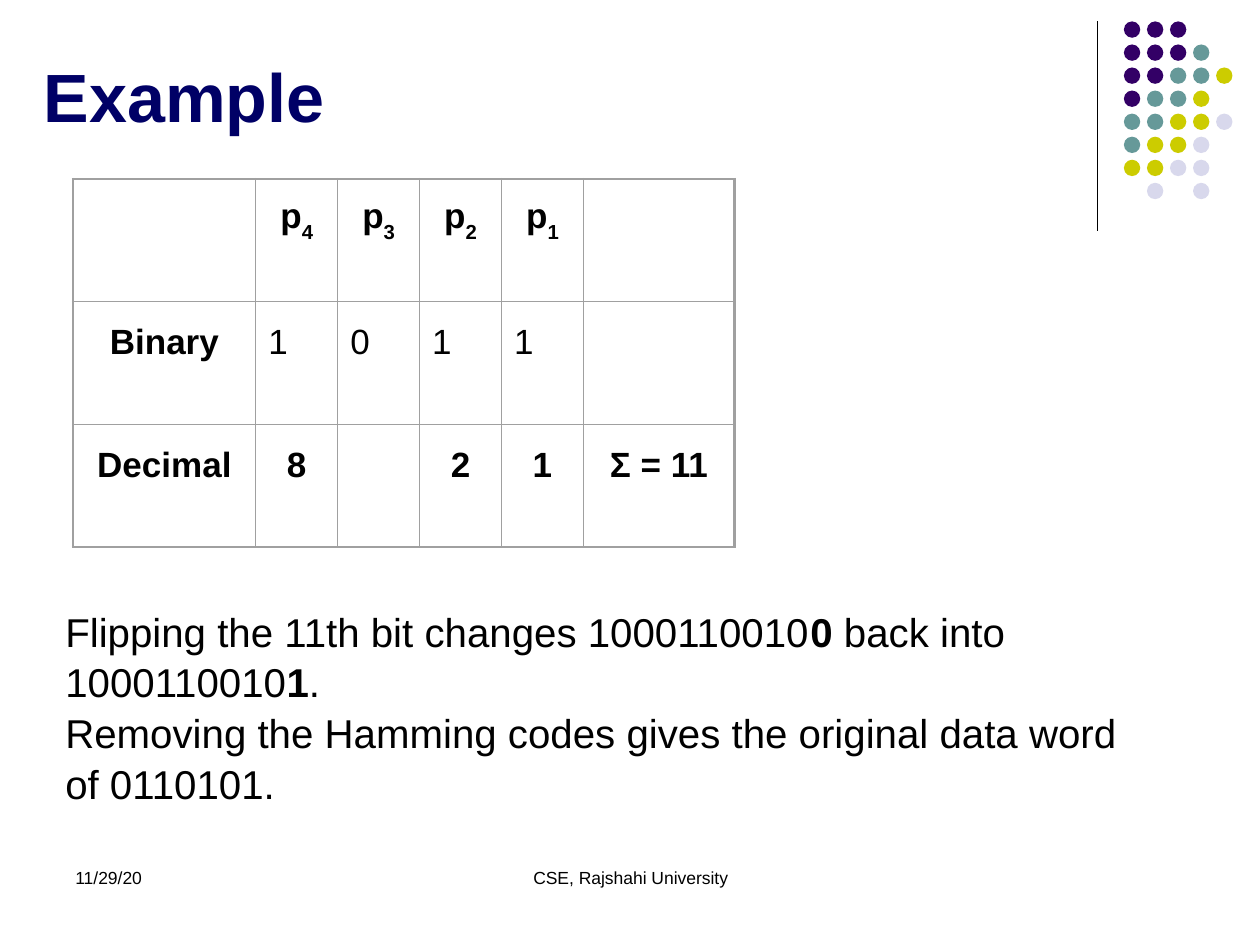
"""Build the Hamming code example slide."""
import pptx
import pptx.dml.color
import pptx.enum.shapes
import pptx.enum.text
import pptx.oxml
import pptx.oxml.ns
import pptx.util

Inches = pptx.util.Inches
Pt = pptx.util.Pt
ALIGN = pptx.enum.text.PP_ALIGN
ANCHOR = pptx.enum.text.MSO_ANCHOR
SHAPE = pptx.enum.shapes.MSO_SHAPE

DOT_COLOURS = {"P": "330066", "T": "669999", "Y": "CCCC00", "L": "D8D8EC"}
DOT_ROWS = ["PPP", "PPPT", "PPTTY", "PTTY", "TTYYL", "TYYL", "YYLL", " L L"]
DOT_PITCH = 0.183

COLUMN_WIDTHS = [1.45, 0.65, 0.65, 0.65, 0.65, 1.2]
BIT_ROWS = [
    ["", "p4", "p3", "p2", "p1", ""],
    ["Binary", "1", "0", "1", "1", ""],
    ["Decimal", "8", "", "2", "1", "Σ = 11"],
]


def colour(value):
    return pptx.dml.color.RGBColor.from_string(value)


class SlideBuilder:
    font = "Arial"
    ink = "000000"
    border = "A0A0A0"

    def __init__(self, page):
        self.page = page

    def span(self, para, text, size, bold=False, ink=None):
        span = para.add_run()
        span.text = text
        span.font.name = self.font
        span.font.size = Pt(size)
        span.font.bold = bold
        span.font.color.rgb = colour(ink or self.ink)
        return span

    def text(self, at, paragraphs, size, ink=None, align=ALIGN.LEFT,
             anchor=ANCHOR.TOP, spacing=1.0):
        box = self.page.shapes.add_textbox(*map(Inches, at))
        frame = box.text_frame
        frame.word_wrap = True
        frame.vertical_anchor = anchor
        for index, spans in enumerate(paragraphs):
            para = frame.add_paragraph() if index else frame.paragraphs[0]
            para.alignment = align
            para.line_spacing = spacing
            for text, bold in spans:
                self.span(para, text, size, bold, ink)

    def line(self, start, end, width):
        line = self.page.shapes.add_connector(
            pptx.enum.shapes.MSO_CONNECTOR.STRAIGHT, *map(Inches, start + end))
        line.line.color.rgb = colour(self.ink)
        line.line.width = Pt(width)
        properties = line._element.spPr
        properties.append(pptx.oxml.parse_xml(
            f"<a:effectLst {pptx.oxml.ns.nsdecls('a')}/>"))

    def dots(self, left, top, size, pitch, rows):
        group = self.page.shapes.add_group_shape()
        for row, letters in enumerate(rows):
            for column, letter in enumerate(letters):
                if letter == " ":
                    continue
                dot = group.shapes.add_shape(
                    SHAPE.OVAL, Inches(left + column * pitch),
                    Inches(top + row * pitch), Inches(size), Inches(size))
                dot.shadow.inherit = False
                dot.fill.solid()
                dot.fill.fore_color.rgb = colour(DOT_COLOURS[letter])
                dot.line.fill.background()

    def cell_borders(self, cell, outer_sides):
        properties = cell._tc.get_or_add_tcPr()
        for index, side in enumerate("LRTB"):
            width = Pt(1.5 if side in outer_sides else 0.5)
            properties.insert(index, pptx.oxml.parse_xml(
                f"<a:ln{side} {pptx.oxml.ns.nsdecls('a')} w='{width}'>"
                f"<a:solidFill><a:srgbClr val='{self.border}'/></a:solidFill>"
                f"</a:ln{side}>"))

    def table(self, left, top, widths, height, rows, size):
        shape = self.page.shapes.add_table(
            len(rows), len(widths), Inches(left), Inches(top),
            Inches(sum(widths)), Inches(height))
        table = shape.table
        table.first_row = table.horz_banding = False
        for column, width in zip(table.columns, widths):
            column.width = Inches(width)
        last_row, last_column = len(rows) - 1, len(widths) - 1
        for row, texts in enumerate(rows):
            table.rows[row].height = Inches(height / len(rows))
            for column, text in enumerate(texts):
                cell = table.cell(row, column)
                cell.fill.background()
                cell.vertical_anchor = ANCHOR.MIDDLE
                cell.margin_bottom = Inches(0.37)
                edges = {"L": column == 0, "R": column == last_column,
                         "T": row == 0, "B": row == last_row}
                self.cell_borders(cell, [side for side in edges if edges[side]])
                if not text:
                    continue
                para = cell.text_frame.paragraphs[0]
                is_bit = row == 1 and column > 0
                para.alignment = ALIGN.LEFT if is_bit else ALIGN.CENTER
                if row == 0:
                    self.span(para, text[0], size, True)
                    index = self.span(para, text[1:], size, True)
                    index.font._element.set("baseline", "-30000")
                else:
                    self.span(para, text, size, not is_bit)


def main():
    deck = pptx.Presentation()
    deck.slide_width, deck.slide_height = Inches(10), Inches(7.5)
    slide = SlideBuilder(deck.slides.add_slide(deck.slide_layouts[6]))

    slide.line((8.71, 0.17), (8.71, 1.83), 0.75)
    slide.dots(8.92, 0.17, 0.13, DOT_PITCH, DOT_ROWS)
    slide.text((0.25, 0.33, 8.25, 0.8), [[("Example", True)]], 39,
               ink="000066", anchor=ANCHOR.BOTTOM)
    slide.table(0.58, 1.42, COLUMN_WIDTHS, 2.92, BIT_ROWS, 20)
    slide.text((0.42, 4.75, 8.83, 1.64), [
        [("Flipping the 11th bit changes 1000110010", False), ("0", True),
         (" back into 1000110010", False), ("1", True), (".", False)],
        [("Removing the Hamming codes gives the original data word of 0110101.",
          False)],
    ], 23, spacing=1.05)
    slide.text((0.5, 6.83, 2.33, 0.5), [[("11/29/20", False)]], 10)
    slide.text((3.42, 6.83, 3.17, 0.5), [[("CSE, Rajshahi University", False)]],
               10, align=ALIGN.CENTER)
    deck.save("out.pptx")


if __name__ == "__main__":
    main()
